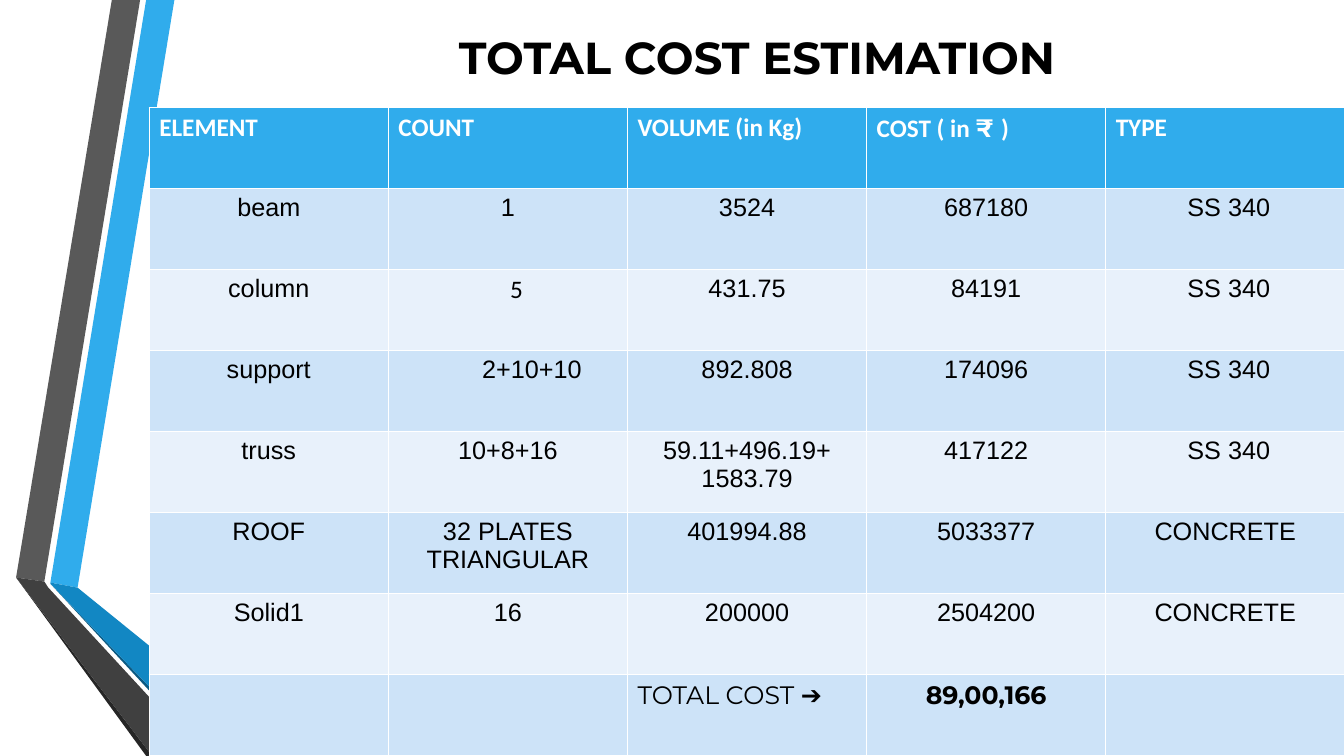
from dataclasses import dataclass

from pptx import Presentation
from pptx.dml.color import RGBColor
from pptx.enum.text import PP_ALIGN
from pptx.util import Inches, Pt

# Content
TITLE = "TOTAL COST ESTIMATION"
HEADINGS = ["ELEMENT", "COUNT", "VOLUME (in Kg)", "COST ( in ₹ )", "TYPE"]
ELEMENTS = [
    ("beam", "1", "3524", "687180", "SS 340"),
    ("column", "5", "431.75", "84191", "SS 340"),
    ("support", "2+10+10", "892.808", "174096", "SS 340"),
    ("truss", "10+8+16", "59.11+496.19+\n1583.79", "417122", "SS 340"),
    ("ROOF", "32 PLATES TRIANGULAR", "401994.88", "5033377", "CONCRETE"),
    ("Solid1", "16", "200000", "2504200", "CONCRETE"),
]
TOTAL = ("", "", "TOTAL COST ➔", "89,00,166", "")


@dataclass(frozen=True)
class Theme:
    accent: str = "30ACEC"
    band_dark: str = "CDE3F8"
    band_light: str = "E8F1FB"
    ink: str = "000000"
    paper: str = "FFFFFF"
    heading_font: str = "Calibri"
    body_font: str = "Arial"
    display_font: str = "Montserrat"
    title_size: int = 32
    table_size: int = 18


THEME = Theme()
WIDTH, HEIGHT = 13.33, 7.5

# Folded ribbons at the left edge: colour and corners in inches, back to front
RIBBONS = [
    (THEME.accent, [(0.5, 5.78), (0.77, 5.83), (1.73, 0), (1.45, 0)]),
    ("595959", [(1.39, 0), (1.11, 0), (0.16, 5.73), (0.44, 5.77)]),
    ("262626", [(0.16, 5.73), (1.45, HEIGHT), (1.51, HEIGHT)]),
    ("0C5A82", [(0.5, 5.79), (2.08, HEIGHT), (2.14, HEIGHT)]),
    ("1287C3", [(0.5, 5.79), (2.14, HEIGHT), (2.83, HEIGHT), (0.77, 5.83), (0.5, 5.78)]),
    ("404040", [(2.02, HEIGHT), (0.48, 5.83), (0.44, 5.77), (0.16, 5.73), (1.51, HEIGHT)]),
]

# Table frame and the cells whose text is pushed right: (row, column) -> inches
TABLE_LEFT, TABLE_TOP, TABLE_WIDTH = 1.48, 1.07, 11.86
TABLE_HEIGHT = HEIGHT - TABLE_TOP
CELL_MARGIN = 0.1
INDENTS = {(2, 1): 0.17, (3, 1): 0.83}
INDENTS.update({(row, 4): 0.07 for row in range(1, 5)})
LEFT_ALIGNED = {(3, 1), (len(ELEMENTS) + 1, 2)}


def style(font, family, size, color, bold=False):
    font.name, font.size, font.bold = family, Pt(size), bold
    font.color.rgb = RGBColor.from_string(color)


def add_ribbon(slide, color, corners):
    start, *others = [(Inches(x), Inches(y)) for x, y in corners]
    builder = slide.shapes.build_freeform(*start, scale=1.0)
    builder.add_line_segments(others, close=True)
    ribbon = builder.convert_to_shape()
    ribbon.shadow.inherit = False
    ribbon.fill.solid()
    ribbon.fill.fore_color.rgb = RGBColor.from_string(color)
    ribbon.line.fill.background()


def write_heading(paragraph, heading):
    style(paragraph.font, THEME.heading_font, THEME.table_size, THEME.paper, True)
    before, rupee, after = heading.partition("₹ ")
    for piece in filter(None, (before, rupee, after)):
        run = paragraph.add_run()
        run.text = piece
        family = THEME.display_font if piece == rupee else THEME.heading_font
        style(run.font, family, THEME.table_size, THEME.paper, True)


def add_cost_table(slide):
    rows = [HEADINGS, *ELEMENTS, TOTAL]
    last = len(rows) - 1
    table = slide.shapes.add_table(
        len(rows), len(HEADINGS), Inches(TABLE_LEFT), Inches(TABLE_TOP),
        Inches(TABLE_WIDTH), Inches(TABLE_HEIGHT)).table
    for r, values in enumerate(rows):
        band = THEME.band_dark if r % 2 else THEME.band_light
        for c, value in enumerate(values):
            cell = table.cell(r, c)
            cell.fill.solid()
            cell.fill.fore_color.rgb = RGBColor.from_string(band if r else THEME.accent)
            cell.margin_left = Inches(CELL_MARGIN + INDENTS.get((r, c), 0))
            if r == 0:
                write_heading(cell.text_frame.paragraphs[0], value)
                continue
            cell.text_frame.text = value
            family = THEME.display_font if r == last else THEME.body_font
            if (r, c) == (2, 1):
                family = THEME.heading_font
            for paragraph in cell.text_frame.paragraphs:
                style(paragraph.font, family, THEME.table_size, THEME.ink,
                      bold=(r, c) == (last, 3))
                paragraph.alignment = (
                    PP_ALIGN.LEFT if (r, c) in LEFT_ALIGNED else PP_ALIGN.CENTER)


def add_title(slide):
    box = slide.shapes.add_textbox(Inches(4.2), Inches(0.25), Inches(6.62), Inches(0.64))
    box.text_frame.word_wrap = True
    paragraph = box.text_frame.paragraphs[0]
    paragraph.text = TITLE
    paragraph.alignment = PP_ALIGN.CENTER
    style(paragraph.font, THEME.display_font, THEME.title_size, THEME.ink, True)


def main():
    deck = Presentation()
    deck.slide_width, deck.slide_height = Inches(WIDTH), Inches(HEIGHT)
    slide = deck.slides.add_slide(deck.slide_layouts[6])
    for color, corners in RIBBONS:
        add_ribbon(slide, color, corners)
    add_cost_table(slide)
    add_title(slide)
    deck.save("out.pptx")


if __name__ == "__main__":
    main()
